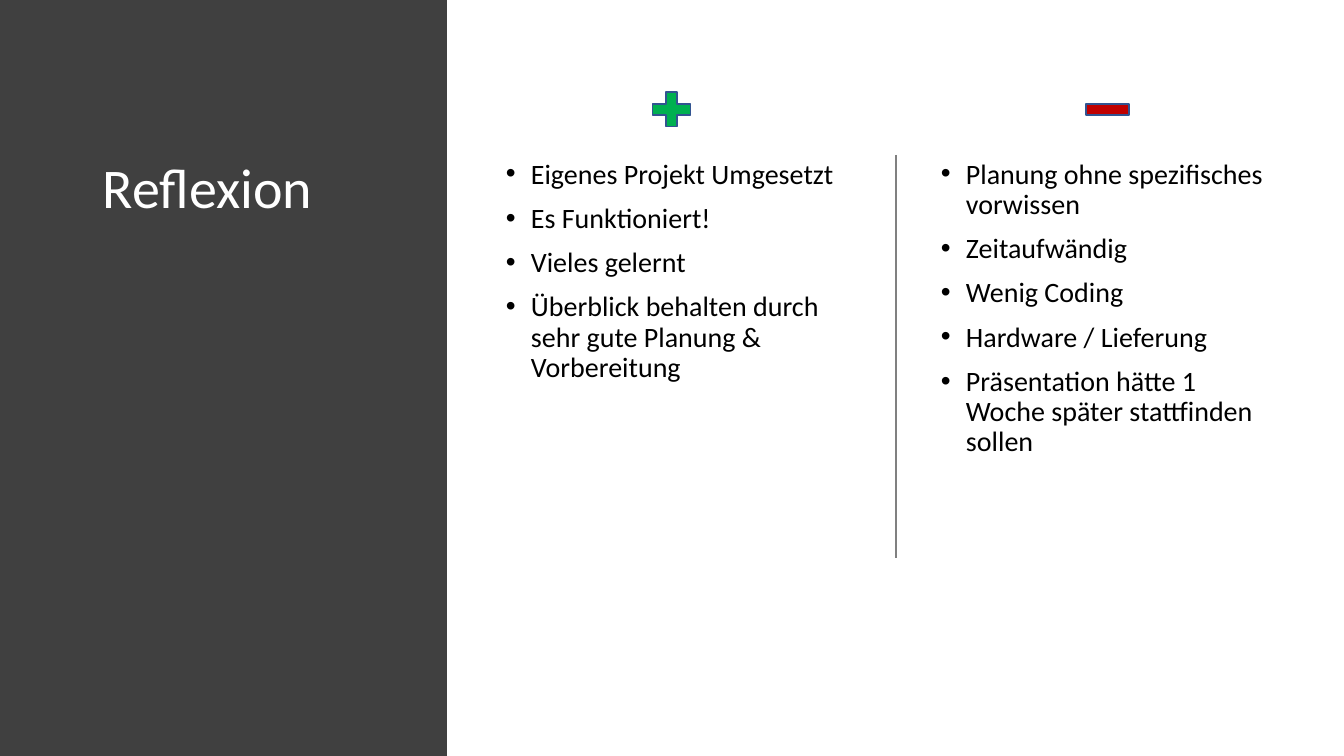
from dataclasses import dataclass

from lxml.etree import SubElement
from pptx import Presentation
from pptx.dml.color import RGBColor
from pptx.enum.shapes import MSO_CONNECTOR as Connector, MSO_SHAPE as Shape
from pptx.oxml.ns import qn
from pptx.util import Emu, Pt

SCALE = 914400 / 100.8


@dataclass(frozen=True)
class Theme:
    font: str = "Calibri"
    panel: str = "404040"
    title: str = "FFFFFF"
    body: str = "000000"
    divider: str = "808080"
    outline: str = "325491"
    plus: str = "00B050"
    minus: str = "C00000"
    title_size: int = 40
    body_size: int = 20
    line_width: int = 1


def px(length):
    return Emu(round(length * SCALE))


def rgb(color):
    return RGBColor.from_string(color)


def write(para, text, *, font, size, color, before=0, bullet=None, indent=0):
    para.line_spacing = 0.9
    para.space_before = Pt(before)
    if bullet:
        props = para._p.get_or_add_pPr()
        props.set("marL", str(px(indent)))
        props.set("indent", str(-px(indent)))
        SubElement(props, qn("a:buFont"), typeface="Arial")
        SubElement(props, qn("a:buChar"), char=bullet)
    span = para.add_run()
    span.text = text
    span.font.name = font
    span.font.size = Pt(size)
    span.font.color.rgb = rgb(color)


class SlideBuilder:
    """Draws styled elements on one slide."""

    def __init__(self, page, theme):
        self.page = page
        self.theme = theme

    def shape(self, kind, bounds, fill, outline=None):
        shape = self.page.shapes.add_shape(kind, *map(px, bounds))
        shape.shadow.inherit = False
        shape.fill.solid()
        shape.fill.fore_color.rgb = rgb(fill)
        if outline:
            shape.line.color.rgb = rgb(outline)
            shape.line.width = Pt(self.theme.line_width)
        else:
            shape.line.fill.background()

    def text(self, bounds, lines, **style):
        box = self.page.shapes.add_textbox(*map(px, bounds))
        frame = box.text_frame
        frame.word_wrap = True
        for index, line in enumerate(lines):
            para = frame.add_paragraph() if index else frame.paragraphs[0]
            write(para, line, font=self.theme.font, **style)

    def title(self, bounds, text):
        self.text(bounds, [text], size=self.theme.title_size, color=self.theme.title)

    def bullets(self, bounds, lines):
        self.text(bounds, lines, size=self.theme.body_size, color=self.theme.body,
                  before=10, bullet="•", indent=25)

    def line(self, start, end, color):
        line = self.page.shapes.add_connector(Connector.STRAIGHT, *map(px, start + end))
        line.line.color.rgb = rgb(color)
        line.line.width = Pt(self.theme.line_width)
        SubElement(line._element.spPr, qn("a:effectLst"))


deck = Presentation()
deck.slide_width, deck.slide_height = px(1344), px(756)
theme = Theme()
builder = SlideBuilder(deck.slides.add_slide(deck.slide_layouts[6]), theme)

TOP, HEIGHT = 155, 481
COLUMN_WIDTH = 353
COLUMNS = [
    (496, Shape.MATH_PLUS, 646, 51, theme.plus, [
        "Eigenes Projekt Umgesetzt",
        "Es Funktioniert!",
        "Vieles gelernt",
        "Überblick behalten durch sehr gute Planung & Vorbereitung",
    ]),
    (931, Shape.MATH_MINUS, 1078, 59, theme.minus, [
        "Planung ohne spezifisches vorwissen",
        "Zeitaufwändig",
        "Wenig Coding",
        "Hardware / Lieferung",
        "Präsentation hätte 1 Woche später stattfinden sollen",
    ]),
]

builder.shape(Shape.RECTANGLE, (0, 0, 447, 756), theme.panel)
builder.title((93, TOP, 320, HEIGHT), "Reflexion")
builder.line((896, TOP), (896, 558), theme.divider)
for left, sign, sign_left, sign_width, color, points in COLUMNS:
    builder.shape(sign, (sign_left, 86, sign_width, 47), color, theme.outline)
    builder.bullets((left, TOP, COLUMN_WIDTH, HEIGHT), points)

deck.save("out.pptx")
